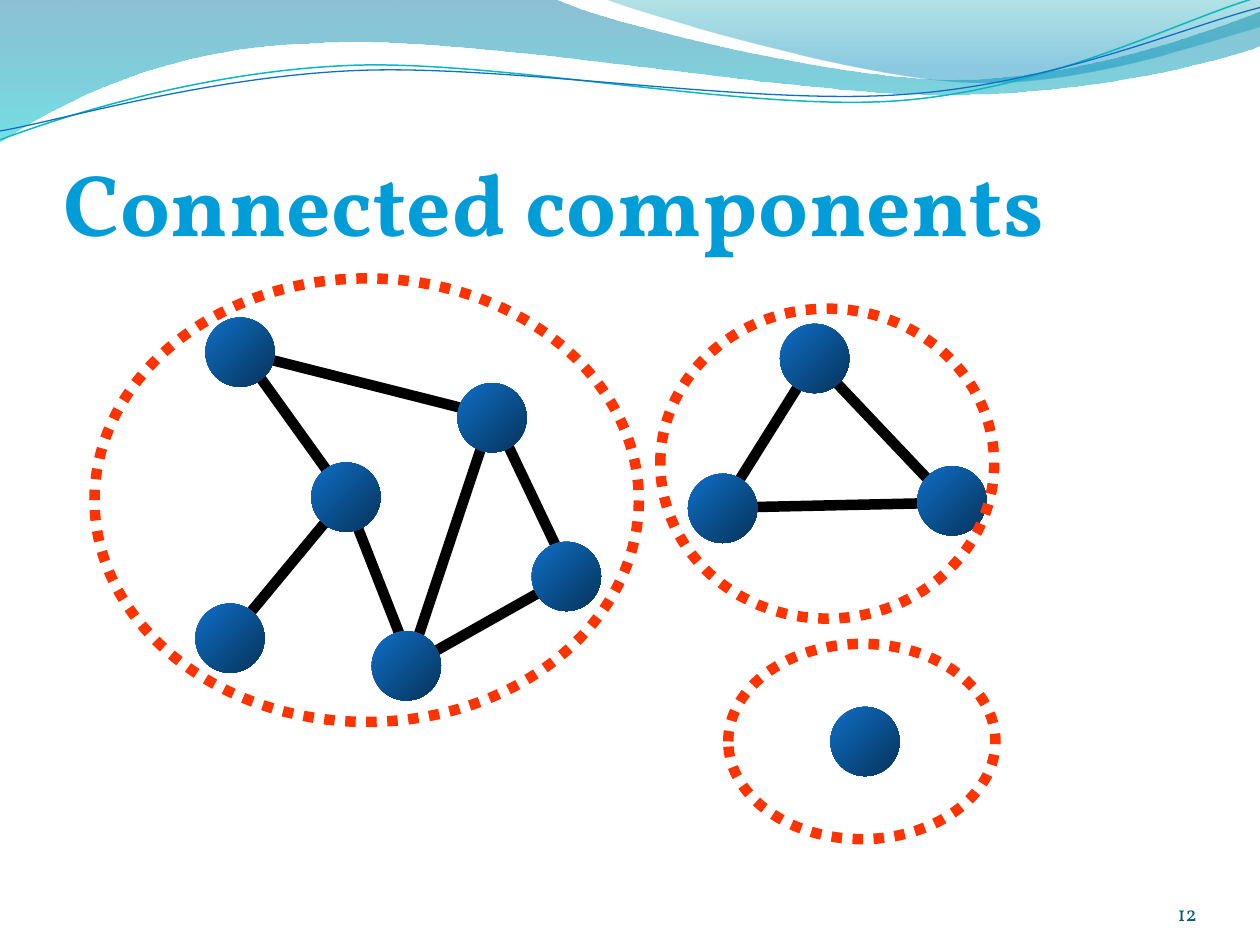
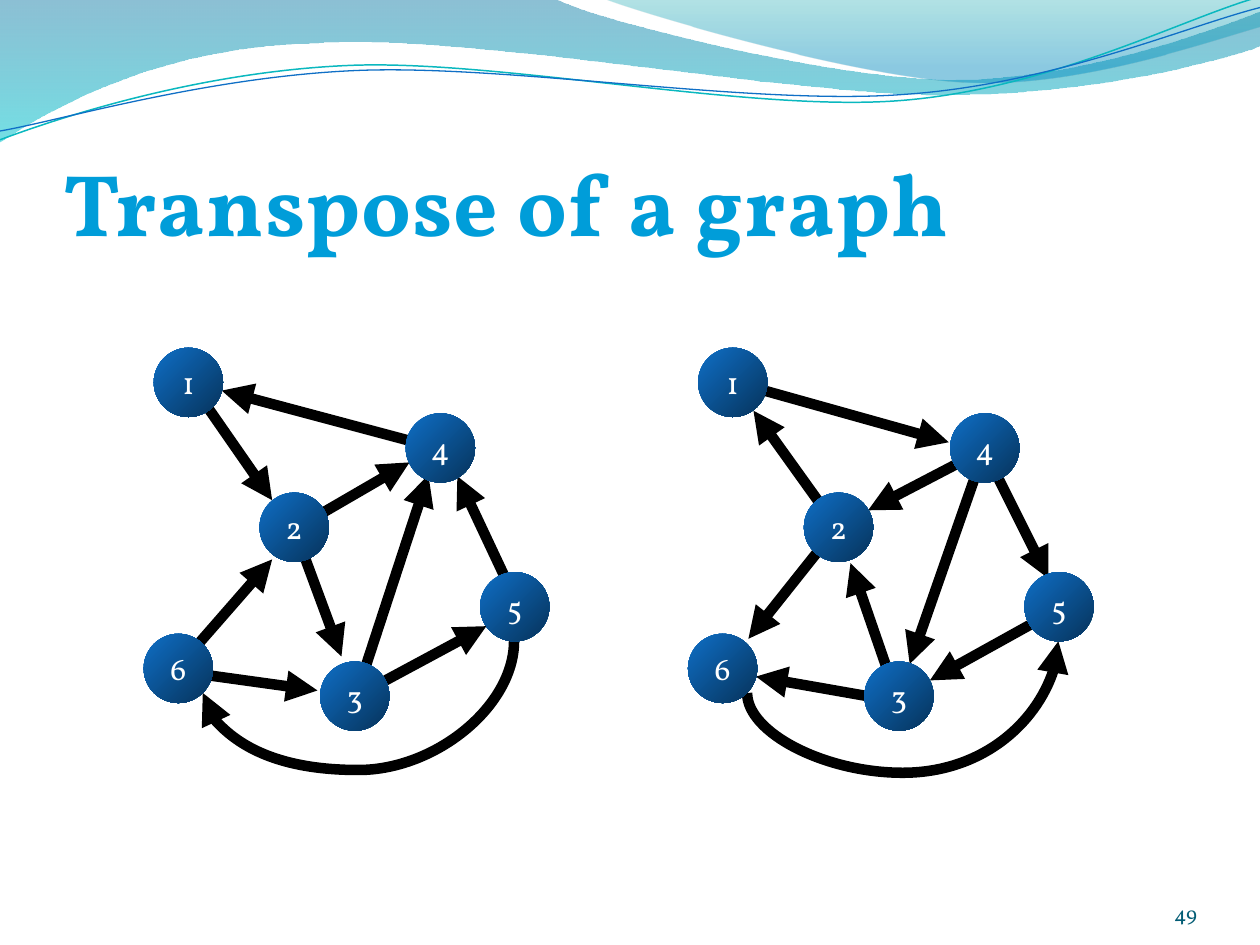
from pptx import Presentation
from pptx.dml.color import RGBColor
from pptx.enum.dml import MSO_LINE
from pptx.enum.shapes import MSO_CONNECTOR, MSO_SHAPE
from pptx.enum.text import MSO_ANCHOR, PP_ALIGN
from pptx.oxml.ns import qn
from pptx.util import Inches, Pt

STRAIGHT, CURVE = MSO_CONNECTOR.STRAIGHT, MSO_CONNECTOR.CURVE
OVAL = MSO_SHAPE.OVAL
DOTTED = MSO_LINE.ROUND_DOT
LEFT, CENTER, RIGHT = PP_ALIGN.LEFT, PP_ALIGN.CENTER, PP_ALIGN.RIGHT
MIDDLE, BOTTOM = MSO_ANCHOR.MIDDLE, MSO_ANCHOR.BOTTOM

FONT = "Vollkorn"
COLORS = {
    "title": "009DD9", "number": "045D75", "label": "FFFFFF",
    "node": "0F6FC6", "edge": "000000", "ring": "FF3300",
    "wave_top": "0074A1", "wave_bottom": "00C6CF",
    "corner_top": "00A1A9", "corner_bottom": "008BBF",
    "teal_line": "0AB8BF", "blue_line": "0F6FC6",
}
NODE_SIZE = 0.55
EDGE_WIDTH = Pt(6)


def write_text(frame, text, size, color, bold=False, align=LEFT, anchor=BOTTOM,
               margins=(0, 0, 0, 0), wrap=True):
    """Fill a frame with one formatted line; margins are left, top, right, bottom."""
    frame.word_wrap = wrap
    frame.vertical_anchor = anchor
    frame.margin_left, frame.margin_top, frame.margin_right, frame.margin_bottom = map(Inches, margins)
    para = frame.paragraphs[0]
    para.alignment = align
    span = para.add_run()
    span.text = text
    span.font.name, span.font.size, span.font.bold = FONT, Pt(size), bold
    span.font.color.rgb = RGBColor.from_string(COLORS[color])


def paint_gradient(shape, angle, stops):
    """Stops are (position, colour name, {modifier tag: percent or None})."""
    shape.fill.gradient()
    shape.fill.gradient_angle = 360 - angle
    for stop, (position, color, modifiers) in zip(shape.fill.gradient_stops, stops):
        stop.position = position
        stop.color.rgb = RGBColor.from_string(COLORS[color])
    swatches = list(shape.element.iter(qn("a:srgbClr")))
    for swatch, (position, color, modifiers) in zip(swatches, stops):
        for tag, percent in modifiers.items():
            values = {"val": str(round(percent * 1000))} if percent else {}
            swatch.append(swatch.makeelement(qn(tag), values))


deck = Presentation()
deck.slide_width, deck.slide_height = Inches(10), Inches(7.5)

# Titles and page numbers
pages = []
for heading, number in [("Connected components", "12"), ("Transpose of a graph", "49")]:
    page = deck.slides.add_slide(deck.slide_layouts[5])
    title = page.shapes.title
    title.left, title.top, title.width, title.height = map(Inches, (0.5, 0.77, 9, 1.25))
    write_text(title.text_frame, heading, 50, "title", bold=True, margins=(0, 0.05, 0, 0))
    for properties in title.element.iter(qn("a:rPr")):
        properties.set("spc", "50")
    box = page.shapes.add_textbox(*map(Inches, (8.67, 6.95, 0.83, 0.4)))
    write_text(box.text_frame, number, 12, "number", align=RIGHT)
    pages.append(page)
components_page, transpose_page = pages

# Waves on the master: a piece is an end point, or two controls and an end point
WAVES = [
    {"start": (0, 0),
     "pieces": [(4.4, -0.01), (4.76, 0.17, 6.64, 0.63, 7.58, 0.63), (8.53, 0.63, 9.58, 0.26, 10, 0.09),
                (10.01, 0.36), (9.83, 0.44, 8.7, 0.76, 7.46, 0.75), (6.22, 0.75, 3.82, 0.28, 2.57, 0.34),
                (1.29, 0.36, 0.46, 0.83, -0.01, 1.13), (0, 0)],
     "stops": [(0, "wave_top", {"a:alpha": 45}), (1, "wave_bottom", {"a:alpha": 55})]},
    {"start": (4.79, -0.01),
     "pieces": [(5.09, 0.11, 6.82, 0.62, 7.69, 0.65), (8.56, 0.69, 9.61, 0.32, 10, 0.21),
                (10, 0), (4.79, -0.01)],
     "stops": [(0, "corner_top", {"a:alpha": 30}), (0.8, "corner_bottom", {"a:alpha": 45})]},
    {"start": (0, 1.11),
     "pieces": [(0.48, 0.93, 1.58, 0.57, 2.77, 0.52), (3.95, 0.47, 5.93, 0.89, 7.13, 0.8),
                (8.33, 0.71, 9.38, 0.15, 9.98, -0.02)],
     "line": ("teal_line", 0.85)},
    {"start": (0, 1.04),
     "pieces": [(0.47, 0.96, 1.64, 0.61, 2.83, 0.56), (4.03, 0.51, 5.97, 0.84, 7.17, 0.75),
                (8.36, 0.67, 9.41, 0.21, 10, 0.06)],
     "line": ("blue_line", 0.75)},
]
for wave in WAVES:
    builder = components_page.shapes.build_freeform(*map(Inches, wave["start"]))
    corners = [tuple(map(Inches, piece[-2:])) for piece in wave["pieces"]]
    builder.add_line_segments(corners, close="stops" in wave)
    shape = builder.convert_to_shape()
    shape.shadow.inherit = False
    # Turn the segments that have control points into Bézier curves
    segments = list(shape.element.iter(qn("a:lnTo")))
    for segment, piece in zip(segments, wave["pieces"]):
        if len(piece) == 2:
            continue
        bezier = segment.makeelement(qn("a:cubicBezTo"), {})
        for x, y in zip(piece[::2], piece[1::2]):
            place = {"x": str(Inches(x) - shape.left), "y": str(Inches(y) - shape.top)}
            bezier.append(bezier.makeelement(qn("a:pt"), place))
        segment.getparent().replace(segment, bezier)
    if "stops" in wave:
        paint_gradient(shape, 90, wave["stops"])
        shape.line.fill.background()
    else:
        color, width = wave["line"]
        shape.fill.background()
        shape.line.color.rgb = RGBColor.from_string(COLORS[color])
        shape.line.width = Pt(width)
    deck.slide_master.element.cSld.spTree.append(shape.element)

# Nodes: the six-node graph stands once on the first page and twice on the second
GRAPH = {1: (1.22, 2.76), 2: (2.06, 3.91), 4: (3.22, 3.28),
         6: (1.14, 5.03), 3: (2.54, 5.25), 5: (3.81, 4.54)}
TRANSPOSE_SHIFT = 4.32
OTHER_COMPONENTS = [(6.59, 5.61), (6.19, 2.57), (5.46, 3.76), (7.28, 3.7)]
nodes = [(components_page, x + 0.41, y - 0.24, "") for x, y in GRAPH.values()]
nodes += [(components_page, x, y, "") for x, y in OTHER_COMPONENTS]
for shift in (0, TRANSPOSE_SHIFT):
    nodes += [(transpose_page, x + shift, y, str(key)) for key, (x, y) in GRAPH.items()]

# Edges: directed ones point to their second end
COMPONENT_EDGES = [
    (2.75, 3.96, 3.26, 5.26), (1.91, 2.78, 2.75, 3.95), (3.22, 5.3, 4.48, 4.59),
    (1.89, 2.79, 3.91, 3.3), (1.79, 5.1, 2.76, 3.93), (4.52, 4.56, 3.92, 3.3),
    (3.24, 5.29, 3.91, 3.28), (6.47, 2.86, 7.55, 4), (5.72, 4.03, 7.55, 3.99),
    (5.73, 4.03, 6.47, 2.85),
]
DIRECTED_EDGES = [
    (1.44, 5.33, 2.52, 5.48), (2.32, 4.21, 3.25, 3.67), (2.34, 4.21, 2.71, 5.21),
    (1.5, 3.02, 2.16, 3.97), (3.06, 5.4, 3.86, 4.97), (3.52, 3.57, 1.76, 3.1),
    (1.4, 5.31, 2.16, 4.44), (4.11, 4.8, 3.63, 3.78), (2.84, 5.48, 3.4, 3.77),
    (7.14, 5.57, 6, 5.37), (7.81, 3.57, 6.89, 4.05), (7.12, 5.54, 6.75, 4.47),
    (6.64, 4.18, 5.98, 3.26), (8.39, 4.84, 7.38, 5.4), (5.78, 3.02, 7.53, 3.51),
    (6.64, 4.19, 5.94, 5.07), (7.83, 3.61, 8.32, 4.59), (7.81, 3.58, 7.22, 5.27),
]
# Each edge: page, kind, ends, arrowhead tag, bend of a curve turned by 90 degrees
edges = [(components_page, STRAIGHT, ends, None, None) for ends in COMPONENT_EDGES]
edges += [(transpose_page, STRAIGHT, ends, "a:tailEnd", None) for ends in DIRECTED_EDGES]
for shift, arrow, bend in [(0, "a:headEnd", -149200), (TRANSPOSE_SHIFT, "a:tailEnd", -154600)]:
    ends = (3.05 + shift, 6.53, 2.64 + shift, 4.06)
    edges.append((transpose_page, CURVE, ends, arrow, bend))

for page, kind, ends, arrow, bend in edges:
    edge = page.shapes.add_connector(kind, *map(Inches, ends))
    edge.line.color.rgb = RGBColor.from_string(COLORS["edge"])
    edge.line.width = EDGE_WIDTH
    properties = edge.element.spPr
    if arrow:
        outline = properties.find(qn("a:ln"))
        outline.append(outline.makeelement(qn(arrow), {"type": "triangle"}))
    if bend:
        properties.find(qn("a:xfrm")).set("rot", str(90 * 60000))
        adjustments = properties.find(qn("a:prstGeom")).find(qn("a:avLst"))
        guide = {"name": "adj1", "fmla": f"val {bend}"}
        adjustments.append(adjustments.makeelement(qn("a:gd"), guide))
    properties.append(properties.makeelement(qn("a:effectLst"), {}))

NODE_SHADE = {"a:gamma": None, "a:shade": 46.28, "a:invGamma": None}
for page, x, y, label in nodes:
    node = page.shapes.add_shape(OVAL, *map(Inches, (x, y, NODE_SIZE, NODE_SIZE)))
    node.shadow.inherit = False
    paint_gradient(node, 45, [(0, "node", {}), (1, "node", NODE_SHADE)])
    node.line.fill.background()
    if label:
        write_text(node.text_frame, label, 18, "label", align=CENTER, anchor=MIDDLE,
                   margins=(0.1, 0.05, 0.1, 0.05), wrap=False)

# Dotted rings around the connected components
for place in [(0.75, 2.21, 4.32, 3.52), (5.78, 5.11, 2.12, 1.55), (5.24, 2.45, 2.65, 2.46)]:
    ring = components_page.shapes.add_shape(OVAL, *map(Inches, place))
    ring.shadow.inherit = False
    ring.fill.background()
    ring.line.color.rgb = RGBColor.from_string(COLORS["ring"])
    ring.line.width = EDGE_WIDTH
    ring.line.dash_style = DOTTED

deck.save("out.pptx")
